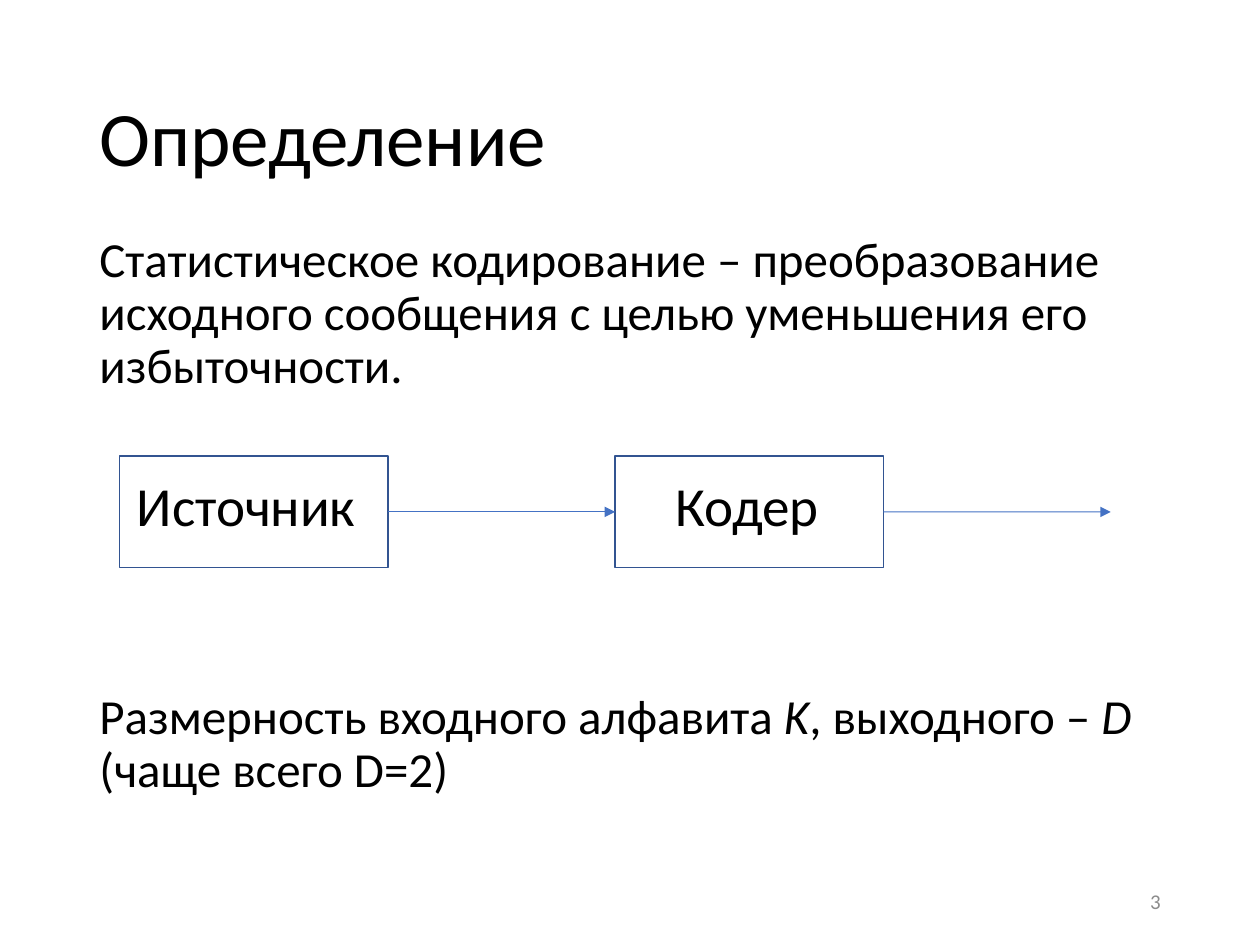
import pptx
import pptx.dml.color
import pptx.enum.shapes
import pptx.enum.text
import pptx.oxml
import pptx.oxml.ns
import pptx.util
from pptx.util import Cm

BLACK, GREY = "000000", "8C8C8C"
BOX_LINE, ARROW = "325491", "4472C4"
ANCHOR = pptx.enum.text.MSO_ANCHOR
ALIGN = pptx.enum.text.PP_ALIGN


def color(value):
    return pptx.dml.color.RGBColor.from_string(value)


def add_element(parent, tag, **attributes):
    element = pptx.oxml.parse_xml(f"<{tag} {pptx.oxml.ns.nsdecls('a')}/>")
    for name, value in attributes.items():
        element.set(name, value)
    parent.append(element)


def set_values(target, values):
    for name, value in values.items():
        setattr(target, name, value)


def place(shape, box):
    set_values(shape, dict(zip(("left", "top", "width", "height"), map(Cm, box))))


def add_span(para, text, size, shade=BLACK, italic=False):
    span = para.add_run()
    span.text = text
    set_values(span.font, {"name": "Calibri", "size": pptx.util.Pt(size), "italic": italic})
    span.font.color.rgb = color(shade)


def fill_title(page, box):
    title = page.shapes.title
    place(title, box)
    set_values(title.text_frame, {
        "vertical_anchor": ANCHOR.MIDDLE,
        "auto_size": pptx.enum.text.MSO_AUTO_SIZE.NONE,
    })
    para = title.text_frame.paragraphs[0]
    set_values(para, {"alignment": ALIGN.LEFT, "line_spacing": 0.9})
    add_span(para, "Определение", 44)


def fill_body(page, box):
    body = page.placeholders[1]
    place(body, box)
    frame = body.text_frame
    frame.auto_size = pptx.enum.text.MSO_AUTO_SIZE.NONE
    definition = [("Статистическое кодирование – преобразование исходного "
                   "сообщения с целью уменьшения его избыточности.", False)]
    alphabets = [("Размерность входного алфавита ", False), ("K", True),
                 (", выходного – ", False), ("D", True),
                 (" (чаще всего D=2)", False)]
    paras = [frame.paragraphs[0], frame.add_paragraph()]
    for para, spans, space in zip(paras, (definition, alphabets), (0, 170)):
        set_values(para, {"line_spacing": 0.9, "space_before": pptx.util.Pt(space)})
        properties = para._p.get_or_add_pPr()
        properties.set("marL", "0")
        properties.set("indent", "0")
        add_element(properties, "a:buNone")
        for text, italic in spans:
            add_span(para, text, 28, italic=italic)


def add_label(page, box, text, size, shade=BLACK, wrap=False, align=ALIGN.LEFT, anchor=ANCHOR.TOP):
    label = page.shapes.add_textbox(*map(Cm, box))
    set_values(label.text_frame, {"word_wrap": wrap, "vertical_anchor": anchor})
    para = label.text_frame.paragraphs[0]
    para.alignment = align
    add_span(para, text, size, shade)


def add_block(page, box, text, inset, label_width):
    left, top, width, height = box
    block = page.shapes.add_shape(pptx.enum.shapes.MSO_SHAPE.RECTANGLE, *map(Cm, box))
    block.shadow.inherit = False
    block.fill.background()
    block.line.color.rgb = color(BOX_LINE)
    block.line.width = pptx.util.Pt(1)
    add_label(page, (left + inset, top + 0.18, label_width, 1.6), text, 31.5)
    return block


def add_arrow(page, start, x, y, end=None):
    arrow = page.shapes.add_connector(
        pptx.enum.shapes.MSO_CONNECTOR.STRAIGHT, Cm(x), Cm(y), Cm(x), Cm(y))
    arrow.begin_connect(start, 3)
    if end is not None:
        arrow.end_connect(end, 1)
    arrow.line.color.rgb = color(ARROW)
    arrow.line.width = pptx.util.Pt(0.5)
    add_element(arrow.line._get_or_add_ln(), "a:tailEnd", type="triangle")
    add_element(arrow._element.spPr, "a:effectLst")


def draw_diagram(page, box):
    left, top, width, height = box
    step = width / 2
    block_width = 5.41
    source = add_block(page, (left, top, block_width, height), "Источник", 0.1, 4.98)
    coder = add_block(page, (left + step, top, block_width, height), "Кодер", 0.97, 3.43)
    middle = top + height / 2
    add_arrow(page, source, left + step, middle, coder)
    add_arrow(page, coder, left + width, middle)


def main():
    deck = pptx.Presentation()
    set_values(deck, {"slide_width": Cm(25.4), "slide_height": Cm(19.05)})
    page = deck.slides.add_slide(deck.slide_layouts[1])
    fill_title(page, (1.75, 1.02, 21.9, 3.68))
    fill_body(page, (1.75, 4.62, 21.9, 9))
    draw_diagram(page, (2.41, 9.2, 19.98, 2.24))
    add_label(page, (17.93, 17.65, 5.72, 1.02), "3", 12, GREY, True,
              ALIGN.RIGHT, ANCHOR.MIDDLE)
    deck.save("out.pptx")


if __name__ == "__main__":
    main()
